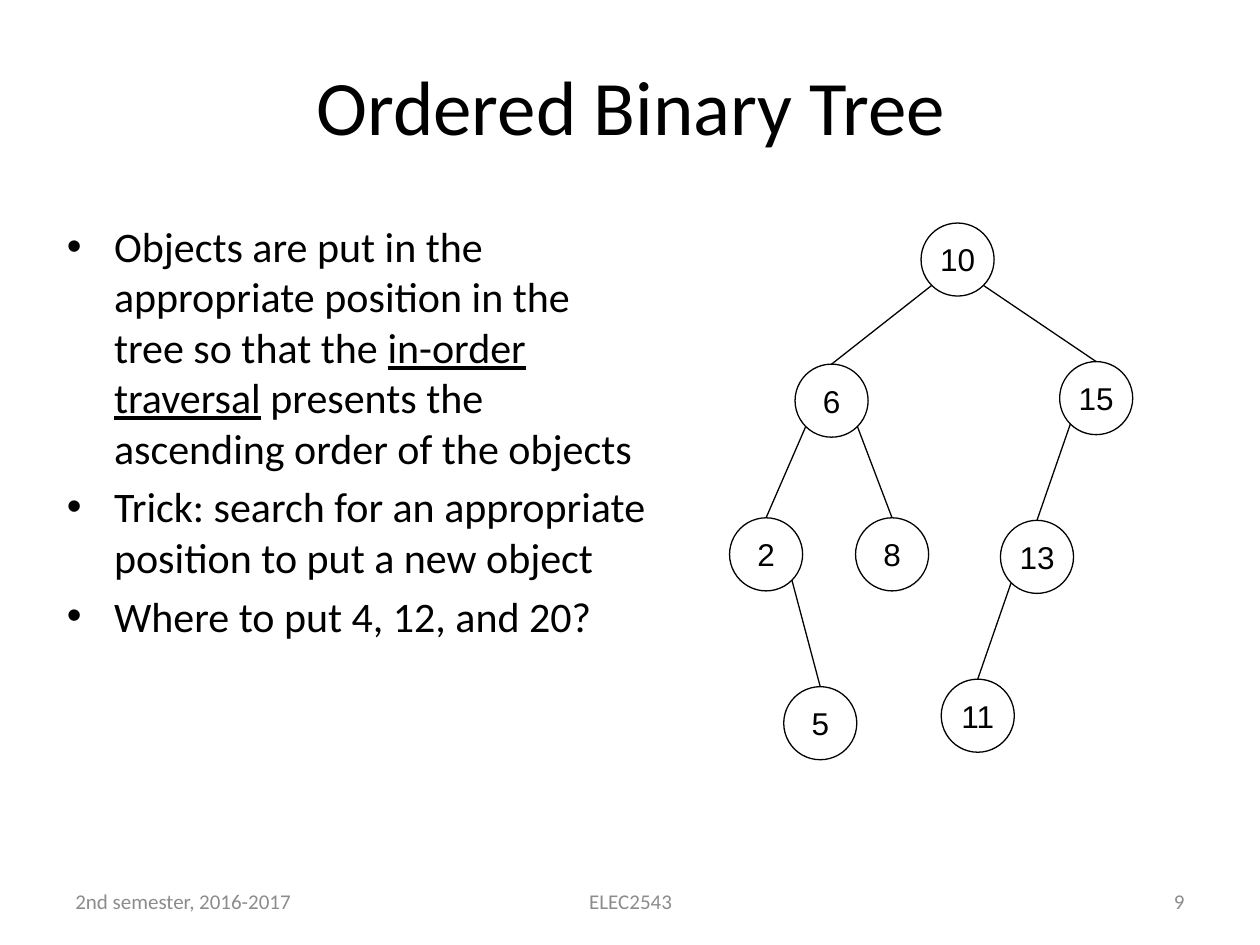
import math
import pptx
import pptx.util
import pptx.dml.color
import pptx.enum.shapes
import pptx.enum.text
import pptx.oxml.ns
import lxml.etree

INK = {"text": "000000", "line": "000000", "foot": "8C8C8C"}
ALIGN = pptx.enum.text.PP_ALIGN
ANCHOR = pptx.enum.text.MSO_ANCHOR
WIDE, HIGH = 10, 7.5
SIZE = 0.58
NODES = {
    10: (7.6, 2.06), 6: (6.6, 3.18), 15: (8.7, 3.16), 2: (6.08, 4.4),
    8: (7.08, 4.4), 13: (8.23, 4.42), 5: (6.51, 5.74), 11: (7.76, 5.68),
}
EDGES = [(10, 6), (6, 2), (6, 8), (10, 15), (15, 13), (2, 5), (13, 11)]
BODY = [
    [("Objects are put in the appropriate position in the tree so that the ", False),
     ("in-order traversal", True),
     (" presents the ascending order of the objects", False)],
    [("Trick: search for an appropriate position to put a new object", False)],
    [("Where to put 4, 12, and 20?", False)],
]
FOOT = [
    ("2nd semester, 2016-2017", 0.05, 0.233, ALIGN.LEFT),
    ("ELEC2543", 0.342, 0.317, ALIGN.CENTER),
    ("9", 0.717, 0.233, ALIGN.RIGHT),
]


def inch(*nums):
    return [pptx.util.Inches(num) for num in nums]


def tint(name):
    return pptx.dml.color.RGBColor.from_string(INK[name])


def write(frame, paras, size=18, font="Calibri", ink="text", align=None,
          anchor=None, wrap=True):
    frame.word_wrap = wrap
    if anchor is not None:
        frame.vertical_anchor = anchor
    for num, runs in enumerate(paras):
        para = frame.add_paragraph() if num else frame.paragraphs[0]
        para.alignment = align
        for text, under in runs:
            run = para.add_run()
            run.text = text
            run.font.size = pptx.util.Pt(size)
            run.font.name = font
            run.font.color.rgb = tint(ink)
            if under:
                run.font.underline = True


def place(shape, left, top, width, height):
    shape.left, shape.top, shape.width, shape.height = inch(left, top, width, height)
    return shape.text_frame


def stroke(shape):
    shape.line.color.rgb = tint("line")
    shape.line.width = pptx.util.Pt(0.75)


def node(slide, key):
    x, y = NODES[key]
    ring = slide.shapes.add_shape(
        pptx.enum.shapes.MSO_SHAPE.OVAL,
        *inch(x - SIZE / 2, y - SIZE / 2, SIZE, SIZE))
    ring.shadow.inherit = False
    ring.fill.background()
    stroke(ring)
    text = str(key)
    width = 0.2 + 0.14 * len(text)
    label = slide.shapes.add_textbox(*inch(x - width / 2, y - 0.2, width, 0.4))
    write(label.text_frame, [[(text, False)]], font="Arial",
          align=ALIGN.CENTER, wrap=False)


def edge(slide, head, child):
    x, y = NODES[head]
    end, low = NODES[child]
    reach = SIZE / 2 * math.sqrt(0.5)
    side = math.copysign(reach, end - x)
    link = slide.shapes.add_connector(
        pptx.enum.shapes.MSO_CONNECTOR.STRAIGHT,
        *inch(x + side, y + reach, end, low - SIZE / 2))
    stroke(link)
    lxml.etree.SubElement(link.element.spPr, pptx.oxml.ns.qn("a:effectLst"))


def foot(slide, text, left, width, align):
    box = slide.shapes.add_textbox(*inch(left * WIDE, 6.95, width * WIDE, 0.4))
    write(box.text_frame, [[(text, False)]], size=12, ink="foot",
          align=align, anchor=ANCHOR.MIDDLE)


def main():
    deck = pptx.Presentation()
    deck.slide_width, deck.slide_height = inch(WIDE, HIGH)
    slide = deck.slides.add_slide(deck.slide_layouts[1])
    title = place(slide.shapes.title, 0.51, 0.21, 9, 1.25)
    write(title, [[("Ordered Binary Tree", False)]], size=44,
          align=ALIGN.CENTER, anchor=ANCHOR.MIDDLE)
    write(place(slide.placeholders[1], 0.43, 1.7, 4.8, 4.87), BODY, size=24)
    for key in NODES:
        node(slide, key)
    for pair in EDGES:
        edge(slide, *pair)
    for item in FOOT:
        foot(slide, *item)
    deck.save("out.pptx")


if __name__ == "__main__":
    main()
